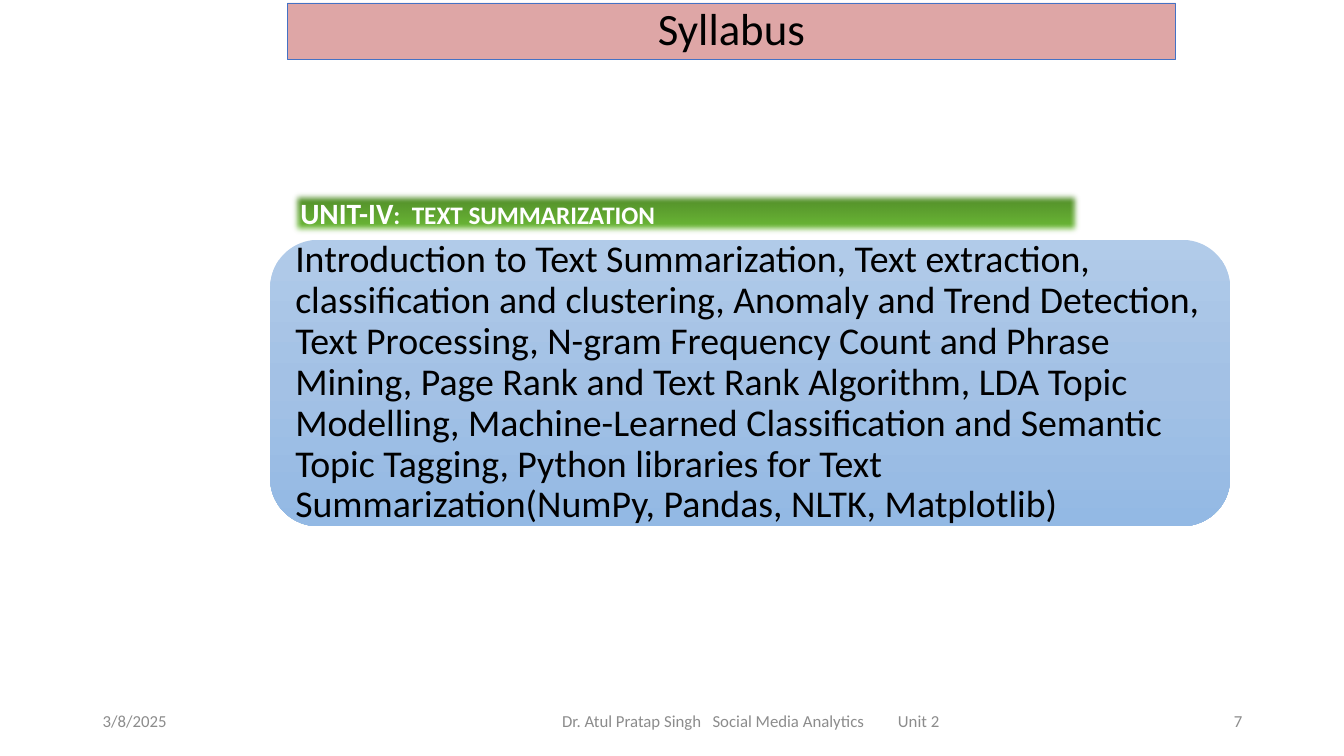
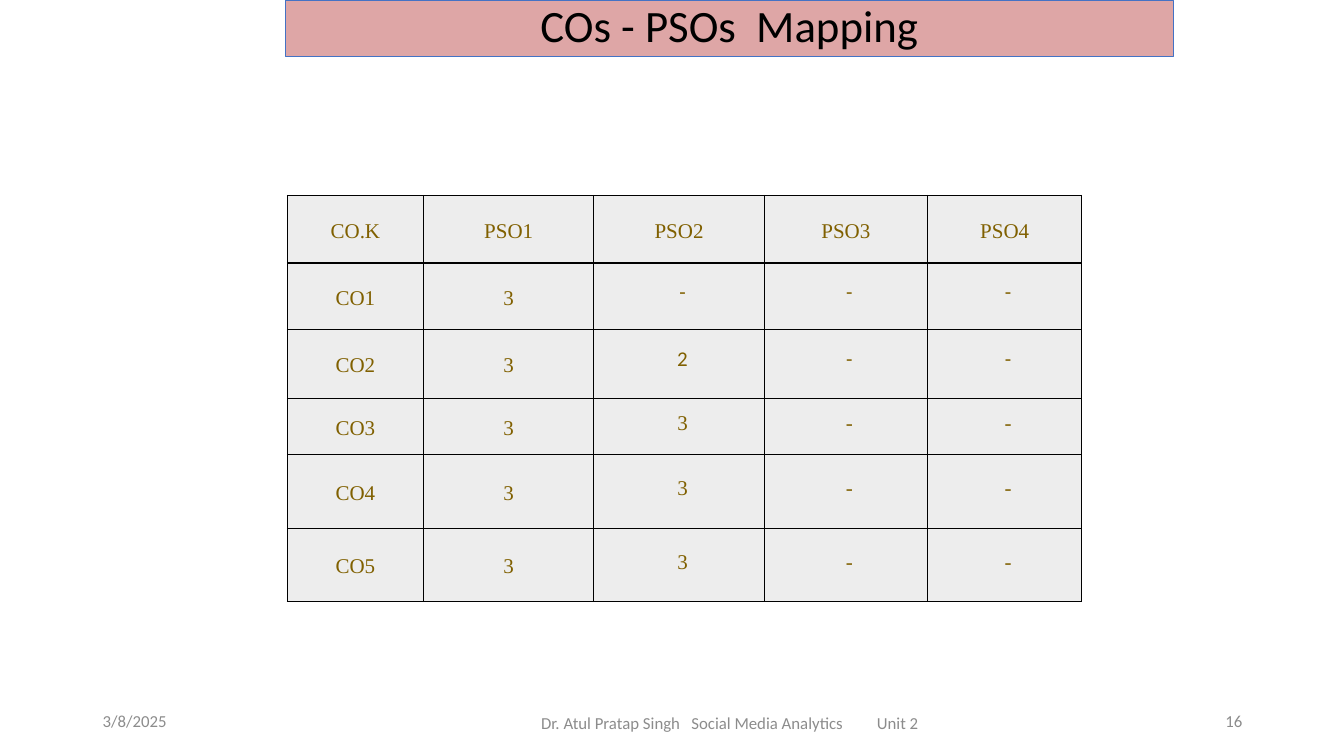
from copy import deepcopy

from pptx import Presentation
from pptx.dml.color import RGBColor
from pptx.enum import shapes, text
from pptx.oxml import parse_xml
from pptx.oxml.ns import nsdecls, qn
from pptx.util import Inches, Pt

COLORS = {
    "title_fill": "DEA6A6", "title_line": "4472C4", "black": "000000",
    "white": "FFFFFF", "footer": "8C8C8C", "cell": "EDEDED", "cell_text": "806000",
}
UNIT_GRADIENT = [(0, "4D8527"), (0.8, "6AB636"), (1, "6ABA34")]
TOPICS_GRADIENT = [(0, "B1CBE9"), (0.5, "A3C1E5"), (1, "93B9E4")]
LEFT, CENTER, RIGHT = text.PP_ALIGN.LEFT, text.PP_ALIGN.CENTER, text.PP_ALIGN.RIGHT
FOOTER = "Dr. Atul Pratap Singh   Social Media Analytics         Unit 2"


def write(frame, content, size, color, align=LEFT, spacing=None, font="Calibri"):
    """Fill a text frame with one wrapped, vertically centred paragraph."""
    frame.word_wrap = True
    frame.vertical_anchor = text.MSO_ANCHOR.MIDDLE
    paragraph = frame.paragraphs[0]
    paragraph.text = content
    paragraph.alignment = align
    paragraph.line_spacing = spacing
    for run in paragraph.runs:
        run.font.size = Pt(size)
        run.font.name = font
        run.font.color.rgb = RGBColor.from_string(COLORS[color])
    return paragraph


def fill_downwards(shape, gradient):
    """Give a borderless shape a three-stop gradient from top to bottom."""
    shape.shadow.inherit = False
    shape.line.fill.background()
    shape.fill.gradient()
    shape.fill.gradient_angle = 270
    stop_list = shape.element.spPr.find(".//" + qn("a:gsLst"))
    stop_list.append(deepcopy(stop_list[0]))
    for stop, (position, color) in zip(shape.fill.gradient_stops, gradient):
        stop.position = position
        stop.color.rgb = RGBColor.from_string(color)


presentation = Presentation()
presentation.slide_width = Inches(13.33)
presentation.slide_height = Inches(7.5)

# Title band and footer of each slide
slides = []
for title, title_left, title_top, footer_box, number in [
    ("Syllabus", 2.85, 0.03, (5.23, 6.95, 4.44, 0.4), "7"),
    ("COs - PSOs  Mapping", 2.83, 0, (4.98, 6.99, 4.52, 0.37), "16"),
]:
    slide = presentation.slides.add_slide(presentation.slide_layouts[6])
    slides.append(slide)
    for content, box, align in [
        ("3/8/2025", (0.92, 6.95, 3, 0.4), LEFT),
        (FOOTER, footer_box, CENTER),
        (number, (9.42, 6.95, 3, 0.4), RIGHT),
    ]:
        footer = slide.shapes.add_textbox(*map(Inches, box))
        write(footer.text_frame, content, 12, "footer", align)
    band = slide.shapes.add_shape(
        shapes.MSO_SHAPE.RECTANGLE,
        Inches(title_left), Inches(title_top), Inches(8.81), Inches(0.56))
    band.shadow.inherit = False
    band.fill.solid()
    band.fill.fore_color.rgb = RGBColor.from_string(COLORS["title_fill"])
    band.line.color.rgb = RGBColor.from_string(COLORS["title_line"])
    band.line.width = Pt(0.5)
    write(band.text_frame, title, 32, "black", CENTER, 0.9)

syllabus, mapping = slides

# Syllabus: unit heading with soft edges
unit = syllabus.shapes.add_shape(
    shapes.MSO_SHAPE.RECTANGLE, Inches(2.88), Inches(1.89), Inches(7.85), Inches(0.45))
fill_downwards(unit, UNIT_GRADIENT)
unit.element.spPr.find(qn("a:effectLst")).append(
    parse_xml(f'<a:softEdge {nsdecls("a")} rad="63500"/>'))
heading = write(unit.text_frame, "UNIT-IV", 21, "white")
unit.text_frame.vertical_anchor = text.MSO_ANCHOR.TOP
topic = heading.add_run()
topic.text = ":  TEXT SUMMARIZATION"
topic.font.size = Pt(18)
topic.font.name = "Calibri"
topic.font.color.rgb = RGBColor.from_string(COLORS["white"])
for run in heading.runs:
    run.font.bold = True

# Syllabus: topics
topics = syllabus.shapes.add_shape(
    shapes.MSO_SHAPE.ROUNDED_RECTANGLE,
    Inches(2.68), Inches(2.38), Inches(9.52), Inches(2.84))
fill_downwards(topics, TOPICS_GRADIENT)
frame = topics.text_frame
frame.margin_left = frame.margin_right = Inches(0.11)
frame.margin_top = frame.margin_bottom = Inches(0.11)
write(
    frame,
    "Introduction to Text Summarization, Text extraction, classification and "
    "clustering, Anomaly and Trend Detection, Text Processing, N-gram Frequency "
    "Count and Phrase Mining, Page Rank and Text Rank Algorithm, LDA Topic "
    "Modelling, Machine-Learned Classification and Semantic Topic Tagging, Python "
    "libraries for Text Summarization(NumPy, Pandas, NLTK, Matplotlib)",
    27, "black", spacing=0.9)

# Mapping: table of course outcomes against programme outcomes
ROWS = [
    ["CO.K", "PSO1", "PSO2", "PSO3", "PSO4"],
    ["CO1", "3", "-", "-", "-"],
    ["CO2", "3", "2", "-", "-"],
    ["CO3", "3", "3", "-", "-"],
    ["CO4", "3", "3", "-", "-"],
    ["CO5", "3", "3", "-", "-"],
]
table = mapping.shapes.add_table(
    len(ROWS), len(ROWS[0]),
    Inches(2.85), Inches(1.94), Inches(7.88), Inches(4.03)).table
for column, width in zip(table.columns, [1.35, 1.69, 1.69, 1.62, 1.53]):
    column.width = Inches(width)
for row, height in zip(table.rows, [0.67, 0.66, 0.68, 0.56, 0.73, 0.73]):
    row.height = Inches(height)

for row_index, values in enumerate(ROWS):
    for column_index, value in enumerate(values):
        cell = table.cell(row_index, column_index)
        cell.margin_left = cell.margin_right = Inches(0.06)
        cell.margin_top = cell.margin_bottom = 0
        is_score = row_index > 0 and column_index > 1
        font = "Calibri" if is_score and row_index < 3 else "Times New Roman"
        paragraph = write(cell.text_frame, value, 15, "cell_text", CENTER,
                          Pt(12.3) if is_score else 1.15, font)
        cell.vertical_anchor = text.MSO_ANCHOR.MIDDLE
        if is_score:
            paragraph._p.get_or_add_pPr().set("marL", str(Inches(0.07)))
        properties = cell._tc.get_or_add_tcPr()
        for side in "LRTB":
            properties.append(parse_xml(
                f'<a:ln{side} {nsdecls("a")} w="{Pt(1)}"><a:solidFill>'
                f'<a:srgbClr val="{COLORS["black"]}"/></a:solidFill></a:ln{side}>'))
        cell.fill.solid()
        cell.fill.fore_color.rgb = RGBColor.from_string(COLORS["cell"])

presentation.save("out.pptx")
